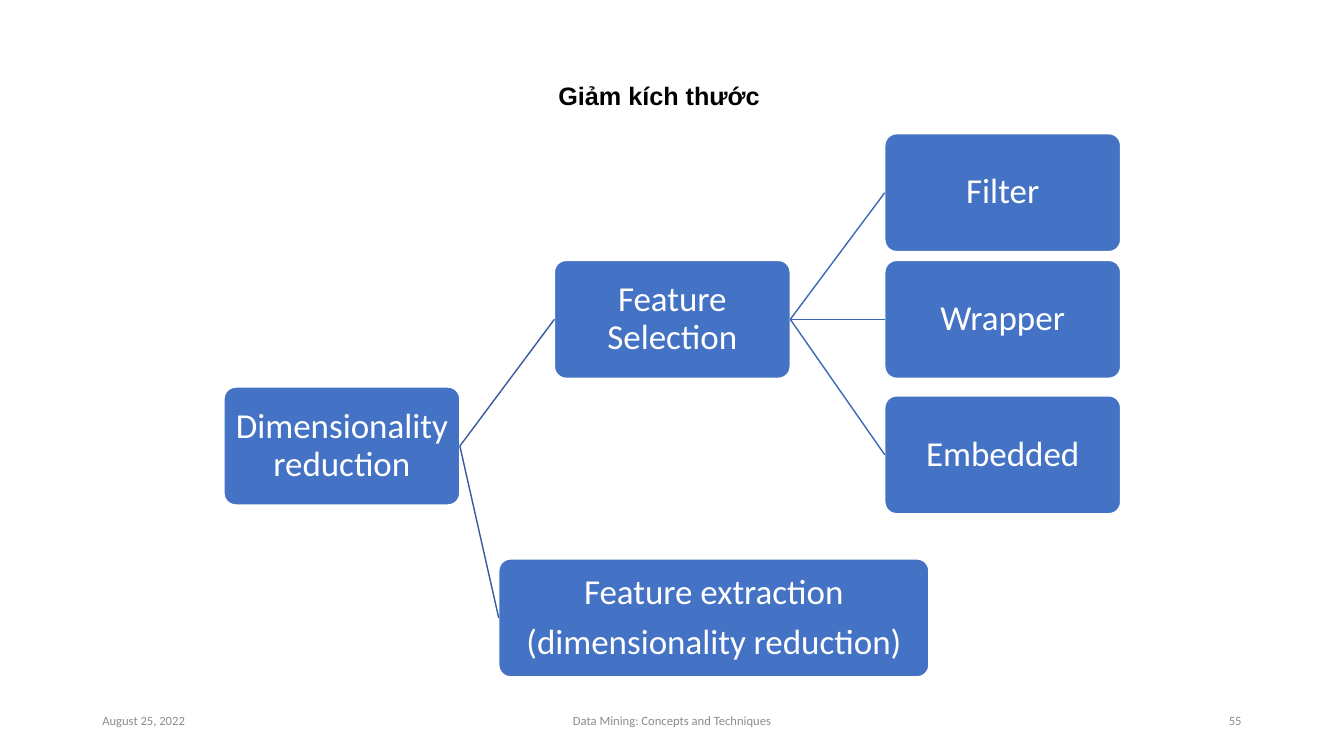
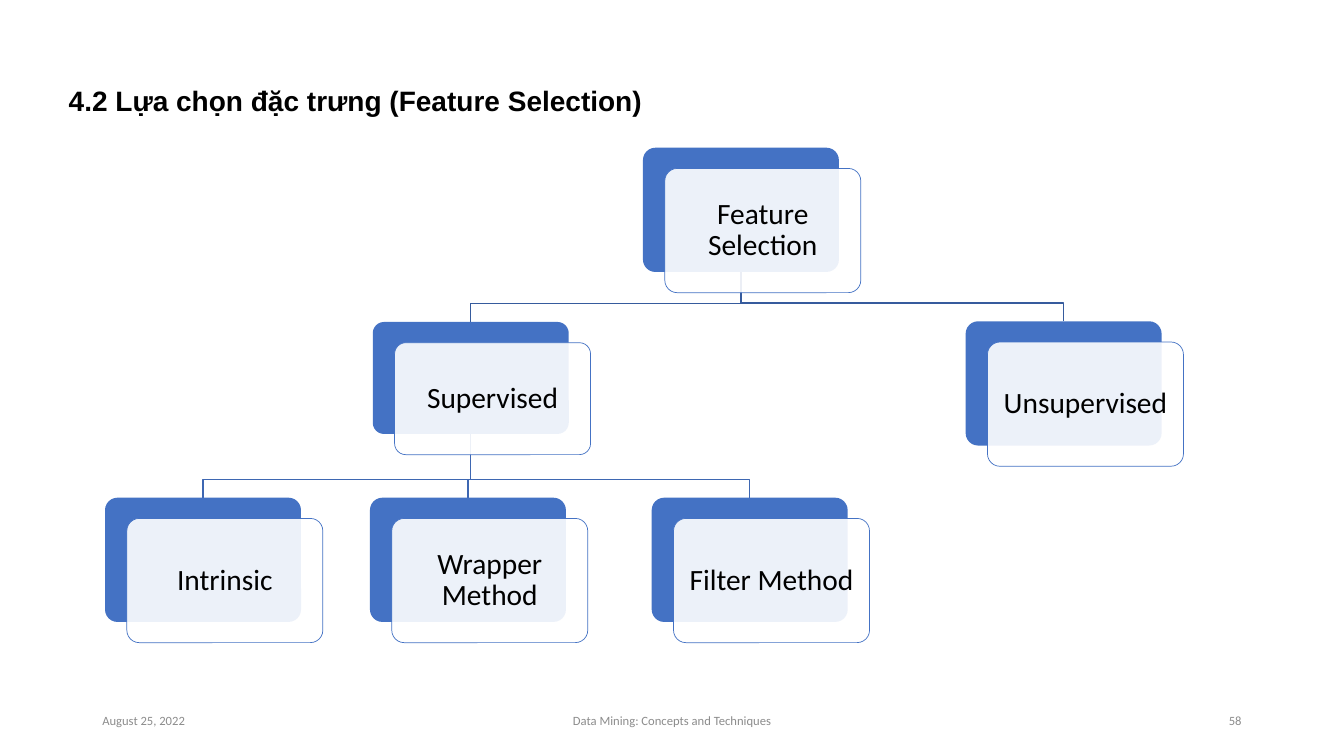
from dataclasses import dataclass

from lxml.etree import SubElement
from pptx import Presentation
from pptx.dml.color import RGBColor
from pptx.enum.shapes import MSO_CONNECTOR, MSO_SHAPE
from pptx.enum.text import MSO_ANCHOR, PP_ALIGN
from pptx.oxml.ns import qn
from pptx.shapes.autoshape import Shape
from pptx.slide import Slide
from pptx.text.text import TextFrame
from pptx.util import Pt

BLUE = "4472C4"
UPPER_LINE = "365B9D"
LOWER_LINE = "3E67B2"
WHITE = "FFFFFF"
BLACK = "000000"
GREY = "8C8C8C"
TITLE_FONT = "Arial"
BODY_FONT = "Calibri"


@dataclass(frozen=True)
class Node:
    text: str
    left: float
    top: float
    width: float
    height: float

    @property
    def centre(self) -> float:
        return self.left + self.width / 2

    @property
    def bottom(self) -> float:
        return self.top + self.height


@dataclass(frozen=True)
class TextStyle:
    font: str
    size: float
    color: str
    bold: bool = False
    align: PP_ALIGN = PP_ALIGN.LEFT
    line_spacing: float = 1.0
    paragraph_gap: float = 0


@dataclass(frozen=True)
class Link:
    parent: str
    child: str
    color: str


@dataclass(frozen=True)
class FooterPart:
    text: str
    left: float
    width: float
    align: PP_ALIGN


BOX_TEXT = TextStyle(BODY_FONT, 25, WHITE, align=PP_ALIGN.CENTER,
                     line_spacing=0.9, paragraph_gap=8.75)
CARD_TEXT = TextStyle(BODY_FONT, 21, BLACK, align=PP_ALIGN.CENTER, line_spacing=0.9)

BOX_WIDTH, BOX_HEIGHT = 168.5, 84.25
BOX_COLUMNS = [160 + 236 * column for column in range(3)]
BOXES = [
    Node("Dimensionality reduction", BOX_COLUMNS[0], 276.5, BOX_WIDTH, BOX_HEIGHT),
    Node("Feature Selection", BOX_COLUMNS[1], 186, BOX_WIDTH, BOX_HEIGHT),
    Node("Filter", BOX_COLUMNS[2], 95.5, BOX_WIDTH, BOX_HEIGHT),
    Node("Wrapper", BOX_COLUMNS[2], 186, BOX_WIDTH, BOX_HEIGHT),
    Node("Embedded", BOX_COLUMNS[2], 282.75, BOX_WIDTH, BOX_HEIGHT),
    Node("Feature extraction\n(dimensionality reduction)", 356.25, 399.25, 307.25, BOX_HEIGHT),
]
BOX_LINKS = [
    Link("Dimensionality reduction", "Feature Selection", UPPER_LINE),
    Link("Dimensionality reduction", BOXES[-1].text, UPPER_LINE),
    *[Link("Feature Selection", child, LOWER_LINE)
      for child in ("Filter", "Wrapper", "Embedded")],
]

CARD_WIDTH, CARD_HEIGHT = 140, 88.75
CARD_SHIFT_X, CARD_SHIFT_Y = 15.6, 14.8
METHOD_TOP = 355.5
BUS_RISE = 13
CARDS = [
    Node("Feature Selection", 459.25, 105.5, CARD_WIDTH, CARD_HEIGHT),
    Node("Supervised", 266.25, 230, CARD_WIDTH, 80),
    Node("Unsupervised", 689.75, 229.5, CARD_WIDTH, CARD_HEIGHT),
    *[Node(text, left, METHOD_TOP, CARD_WIDTH, CARD_HEIGHT)
      for text, left in (("Intrinsic", 75), ("Wrapper Method", 264.25), ("Filter Method", 465.5))],
]
CARD_LINKS = [
    *[Link("Feature Selection", child, UPPER_LINE) for child in ("Unsupervised", "Supervised")],
    *[Link("Supervised", child, LOWER_LINE)
      for child in ("Filter Method", "Wrapper Method", "Intrinsic")],
]


def rgb(color: str) -> RGBColor:
    return RGBColor.from_string(color)


def write_text(frame: TextFrame, text: str, style: TextStyle) -> None:
    frame.word_wrap = True
    for index, line in enumerate(text.split("\n")):
        paragraph = frame.add_paragraph() if index else frame.paragraphs[0]
        paragraph.alignment = style.align
        paragraph.line_spacing = style.line_spacing
        if index:
            paragraph.space_before = Pt(style.paragraph_gap)
        run = paragraph.add_run()
        run.text = line
        run.font.name = style.font
        run.font.size = Pt(style.size)
        run.font.bold = style.bold
        run.font.color.rgb = rgb(style.color)


def add_label(slide: Slide, node: Node, style: TextStyle,
              anchor: MSO_ANCHOR = MSO_ANCHOR.TOP) -> None:
    label = slide.shapes.add_textbox(Pt(node.left), Pt(node.top), Pt(node.width), Pt(node.height))
    label.text_frame.vertical_anchor = anchor
    write_text(label.text_frame, node.text, style)


def add_title(slide: Slide, node: Node, size: float) -> None:
    add_label(slide, node, TextStyle(TITLE_FONT, size, BLACK, bold=True))


def add_footer(slide: Slide, page: int) -> None:
    parts = [
        FooterPart("August 25, 2022", 66, 216, PP_ALIGN.LEFT),
        FooterPart("Data Mining: Concepts and Techniques", 318, 324, PP_ALIGN.CENTER),
        FooterPart(str(page), 678, 216, PP_ALIGN.RIGHT),
    ]
    for part in parts:
        add_label(slide, Node(part.text, part.left, 500.5, part.width, 28.75),
                  TextStyle(BODY_FONT, 9, GREY, align=part.align), MSO_ANCHOR.MIDDLE)


def add_rounded(slide: Slide, node: Node, fill: str, line: str | None = None,
                line_width: float = 0) -> Shape:
    shape = slide.shapes.add_shape(MSO_SHAPE.ROUNDED_RECTANGLE, Pt(node.left), Pt(node.top),
                                   Pt(node.width), Pt(node.height))
    shape.adjustments[0] = 0.1
    shape.shadow.inherit = False
    shape.fill.solid()
    shape.fill.fore_color.rgb = rgb(fill)
    if line:
        shape.line.color.rgb = rgb(line)
        shape.line.width = Pt(line_width)
    else:
        shape.line.fill.background()
    return shape


def fill_rounded(shape: Shape, text: str, style: TextStyle, inset: float) -> None:
    """Write centred text into a rounded box with equal margins."""
    frame = shape.text_frame
    frame.margin_left = frame.margin_right = Pt(inset)
    frame.margin_top = frame.margin_bottom = Pt(inset)
    frame.vertical_anchor = MSO_ANCHOR.MIDDLE
    write_text(frame, text, style)


def set_opacity(shape: Shape, percent: int) -> None:
    color = shape._element.spPr.find(qn("a:solidFill"))[0]
    SubElement(color, qn("a:alpha")).set("val", str(percent * 1000))


def add_box(slide: Slide, node: Node) -> Shape:
    box = add_rounded(slide, node, BLUE, WHITE, 1)
    fill_rounded(box, node.text, BOX_TEXT, 1.5)
    return box


def add_card(slide: Slide, node: Node) -> None:
    """Draw a blue back plate and a translucent front plate with the text."""
    add_rounded(slide, node, BLUE)
    front_node = Node(node.text, node.left + CARD_SHIFT_X, node.top + CARD_SHIFT_Y,
                      node.width, node.height)
    front = add_rounded(slide, front_node, WHITE, BLUE, 0.5)
    set_opacity(front, 90)
    fill_rounded(front, node.text, CARD_TEXT, 6.5)


def join_sideways(slide: Slide, parent: Shape, child: Shape, color: str) -> None:
    right_site, left_site = 3, 1
    connector = slide.shapes.add_connector(MSO_CONNECTOR.STRAIGHT, 0, 0, 0, 0)
    connector.begin_connect(parent, right_site)
    connector.end_connect(child, left_site)
    connector.line.color.rgb = rgb(color)
    connector.line.width = Pt(1)
    SubElement(connector._element.spPr, qn("a:effectLst"))


def join_downwards(slide: Slide, parent: Node, child: Node, color: str) -> None:
    bus = child.top - BUS_RISE
    corners = [(parent.centre, bus), (child.centre, bus), (child.centre, child.top)]
    builder = slide.shapes.build_freeform(Pt(parent.centre), Pt(parent.bottom))
    builder.add_line_segments([(Pt(x), Pt(y)) for x, y in corners], close=False)
    branch = builder.convert_to_shape()
    branch.shadow.inherit = False
    branch.fill.background()
    branch.line.color.rgb = rgb(color)
    branch.line.width = Pt(1)


def build_reduction_slide(slide: Slide) -> None:
    add_footer(slide, 55)
    add_title(slide, Node("Giảm kích thước", 391.75, 54, 286.5, 29), 18)
    boxes = {node.text: add_box(slide, node) for node in BOXES}
    for link in BOX_LINKS:
        join_sideways(slide, boxes[link.parent], boxes[link.child], link.color)


def build_selection_slide(slide: Slide) -> None:
    add_footer(slide, 58)
    add_title(slide, Node("4.2 Lựa chọn đặc trưng (Feature Selection)", 42, 56.25, 479.5, 31.5), 20)
    nodes = {node.text: node for node in CARDS}
    for link in CARD_LINKS:
        join_downwards(slide, nodes[link.parent], nodes[link.child], link.color)
    for node in CARDS:
        add_card(slide, node)


def main() -> None:
    presentation = Presentation()
    presentation.slide_width = Pt(960)
    presentation.slide_height = Pt(540)
    blank_layout = presentation.slide_layouts[6]
    for build in (build_reduction_slide, build_selection_slide):
        build(presentation.slides.add_slide(blank_layout))
    presentation.save("out.pptx")


if __name__ == "__main__":
    main()
